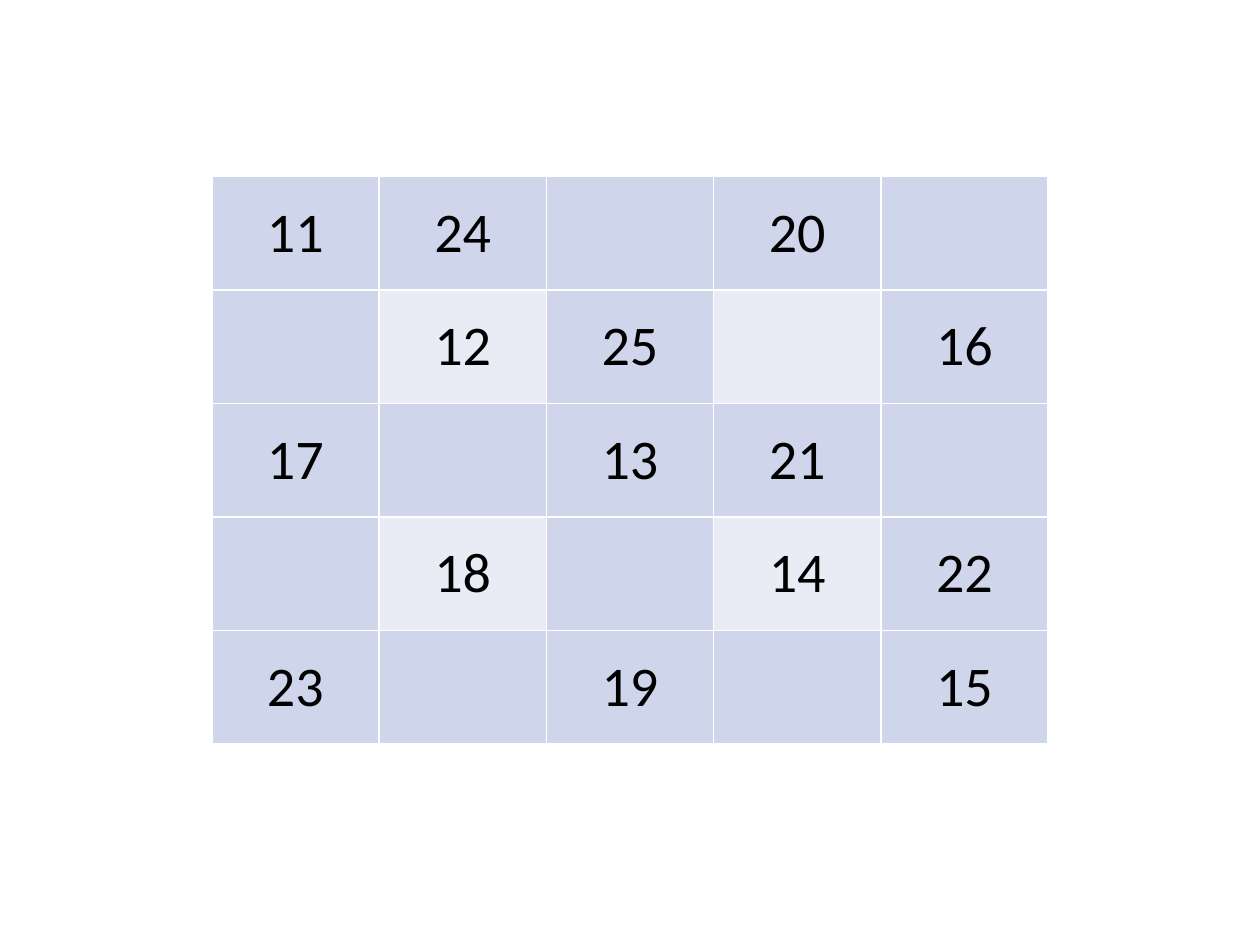
import lxml.etree
import pptx
import pptx.dml.color
import pptx.enum.text
import pptx.oxml.ns
import pptx.util

Pt = pptx.util.Pt
RGBColor = pptx.dml.color.RGBColor

BLACK = RGBColor(0x00, 0x00, 0x00)
WHITE = RGBColor(0xFF, 0xFF, 0xFF)
DARK = RGBColor(0xCF, 0xD5, 0xEA)
LIGHT = RGBColor(0xE9, 0xEB, 0xF5)

FONT = {"name": "Calibri", "size": Pt(32), "bold": False}
PLAIN = {"first_row": False, "horz_banding": False}

LEFT, TOP = 121, 100.8
WIDE, HIGH = 95.6, 64.9

# Grid values, None where a cell is empty
GRID = [
    [11, 24, None, 20, None],
    [None, 12, 25, None, 16],
    [17, None, 13, 21, None],
    [None, 18, None, 14, 22],
    [23, None, 19, None, 15],
]


def apply(item, props):
    for key, value in props.items():
        setattr(item, key, value)


def add_edges(cell, color, width):
    """Draw all four borders of a cell."""
    qn = pptx.oxml.ns.qn
    props = cell._tc.get_or_add_tcPr()
    for tag in ("a:lnL", "a:lnR", "a:lnT", "a:lnB"):
        line = lxml.etree.SubElement(props, qn(tag), w=str(Pt(width)))
        fill = lxml.etree.SubElement(line, qn("a:solidFill"))
        lxml.etree.SubElement(fill, qn("a:srgbClr"), val=str(color))


def fill_cell(cell, value, color):
    add_edges(cell, WHITE, 1)
    cell.fill.solid()
    cell.fill.fore_color.rgb = color
    cell.vertical_anchor = pptx.enum.text.MSO_ANCHOR.MIDDLE
    para = cell.text_frame.paragraphs[0]
    para.alignment = pptx.enum.text.PP_ALIGN.CENTER
    if value is not None:
        run = para.add_run()
        run.text = str(value)
        apply(run.font, FONT)
        run.font.color.rgb = BLACK


def add_grid(slide, grid):
    rows, cols = len(grid), len(grid[0])
    frame = slide.shapes.add_table(
        rows, cols, Pt(LEFT), Pt(TOP), Pt(cols * WIDE), Pt(rows * HIGH))
    table = frame.table
    apply(table, PLAIN)
    for col in table.columns:
        col.width = Pt(WIDE)
    for r, values in enumerate(grid):
        table.rows[r].height = Pt(HIGH)
        for c, value in enumerate(values):
            # Light where both row and column are odd
            color = LIGHT if r % 2 and c % 2 else DARK
            fill_cell(table.cell(r, c), value, color)


def main():
    deck = pptx.Presentation()
    apply(deck, {"slide_width": Pt(720), "slide_height": Pt(540)})
    # Blank layout, as the slide has no title
    slide = deck.slides.add_slide(deck.slide_layouts[6])
    add_grid(slide, GRID)
    deck.save("out.pptx")


main()
